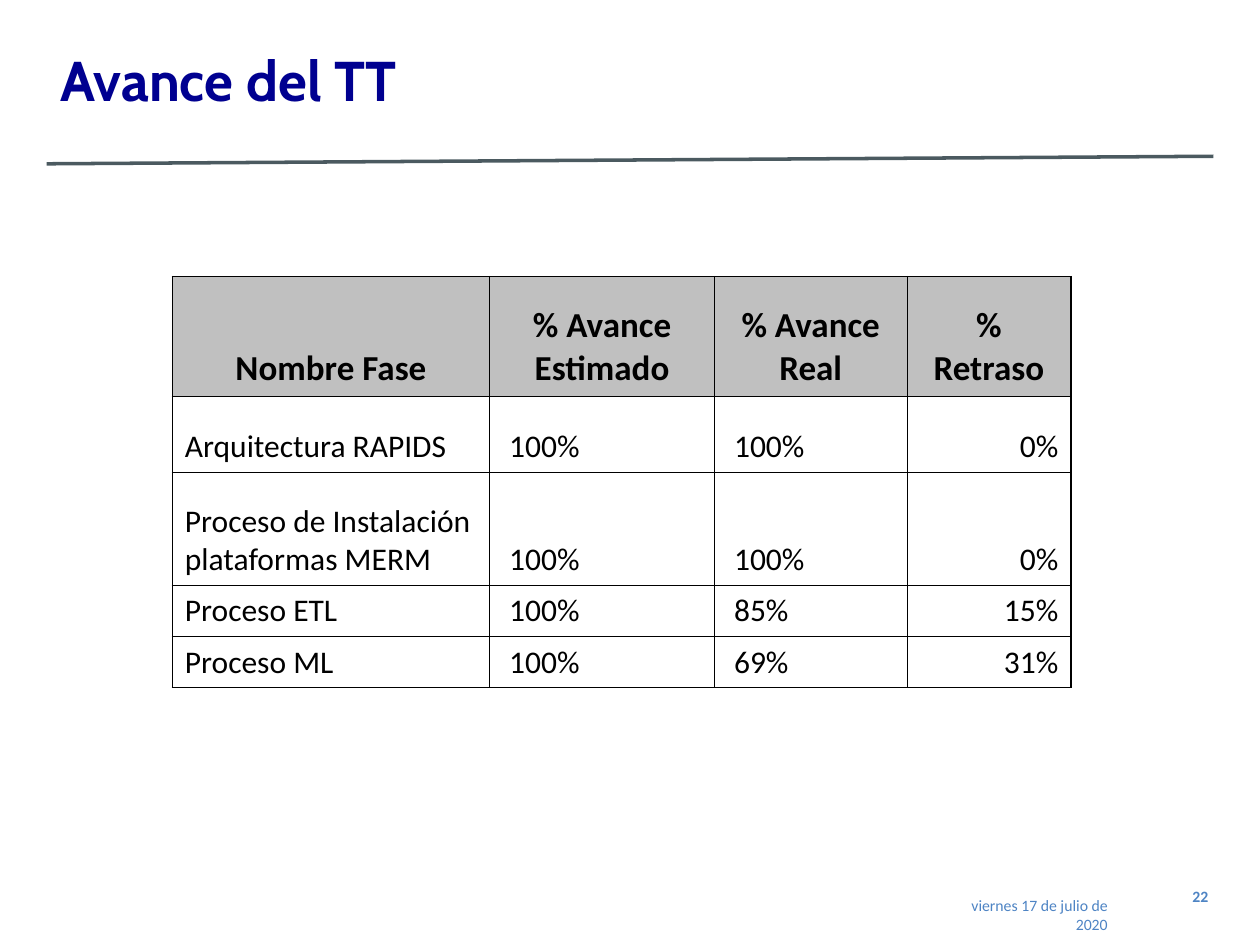
from lxml.etree import SubElement
from pptx import Presentation
from pptx.dml.color import RGBColor
from pptx.enum.shapes import MSO_CONNECTOR
from pptx.enum.text import MSO_ANCHOR, PP_ALIGN
from pptx.oxml.ns import qn
from pptx.util import Pt

COLORS = {"title": "000090", "rule": "4B5A60", "footer": "4E84C4",
          "text": "000000", "header": "C0C0C0", "body": "FFFFFF"}
TITLE = "Avance del TT"
DATE = "viernes 17 de julio de 2020"
PAGE_NUMBER = "22"
PHASES = [
    ("Nombre Fase", "% Avance Estimado", "% Avance Real", "% Retraso"),
    ("Arquitectura RAPIDS", "100%", "100%", "0%"),
    ("Proceso de Instalación plataformas MERM", "100%", "100%", "0%"),
    ("Proceso ETL", "100%", "85%", "15%"),
    ("Proceso ML", "100%", "69%", "31%"),
]
TABLE_LEFT, TABLE_TOP = 98.5, 157.8
COLUMN_WIDTHS = [181.3, 128.5, 110, 93.7]
ROW_HEIGHTS = [68.8, 43.2, 64.8, 29.2, 29.2]
COLUMN_ALIGNMENTS = [PP_ALIGN.LEFT] * 3 + [PP_ALIGN.RIGHT]
COLUMN_MARGINS = [7.2, 11.2, 11.2, 7.2]
THIN, THICK = 0.5, 0.96


def write(frame, text, size=18, color="text", font="Calibri", bold=False,
          align=PP_ALIGN.LEFT):
    frame.word_wrap = True
    paragraph = frame.paragraphs[0]
    paragraph.alignment = align
    span = paragraph.add_run()
    span.text = text
    span.font.name = font
    span.font.size = Pt(size)
    span.font.bold = bold
    span.font.color.rgb = RGBColor.from_string(COLORS[color])


def add_rule(page, start, end):
    rule = page.shapes.add_connector(MSO_CONNECTOR.STRAIGHT, *map(Pt, start + end))
    rule.line.color.rgb = RGBColor.from_string(COLORS["rule"])
    rule.line.width = Pt(2)
    SubElement(rule._element.spPr, qn("a:effectLst"))


def add_footer(page, left, top, width, height, text, bold=False):
    box = page.shapes.add_textbox(*map(Pt, (left, top, width, height)))
    write(box.text_frame, text, size=9, color="footer", bold=bold,
          align=PP_ALIGN.RIGHT)


def set_borders(cell, widths):
    """Draw cell borders; they must come before the fill in the cell XML."""
    properties = cell._tc.get_or_add_tcPr()
    for side, width in widths.items():
        border = SubElement(properties, qn(f"a:ln{side}"), w=str(int(Pt(width))))
        fill = SubElement(border, qn("a:solidFill"))
        SubElement(fill, qn("a:srgbClr"), val=COLORS["text"])


def add_phase_table(page):
    row_count, column_count = len(PHASES), len(COLUMN_WIDTHS)
    table = page.shapes.add_table(
        row_count, column_count, Pt(TABLE_LEFT), Pt(TABLE_TOP),
        Pt(sum(COLUMN_WIDTHS)), Pt(sum(ROW_HEIGHTS))).table
    for column, width in zip(table.columns, COLUMN_WIDTHS):
        column.width = Pt(width)
    for row, height in zip(table.rows, ROW_HEIGHTS):
        row.height = Pt(height)
    for r, phase in enumerate(PHASES):
        header = r == 0
        for c, text in enumerate(phase):
            cell = table.cell(r, c)
            set_borders(cell, {"L": THICK if c == 0 else THIN,
                               "R": THICK if c == column_count - 1 else THIN,
                               "T": THIN, "B": THIN})
            cell.fill.solid()
            cell.fill.fore_color.rgb = RGBColor.from_string(
                COLORS["header" if header else "body"])
            cell.vertical_anchor = MSO_ANCHOR.BOTTOM
            if header:
                write(cell.text_frame, text, size=20, bold=True,
                      align=PP_ALIGN.CENTER)
            else:
                cell.margin_left = Pt(COLUMN_MARGINS[c])
                write(cell.text_frame, text, align=COLUMN_ALIGNMENTS[c])


def main():
    deck = Presentation()
    deck.slide_width, deck.slide_height = Pt(720), Pt(540)
    page = deck.slides.add_slide(deck.slide_layouts[5])

    title = page.shapes.title
    title.left, title.top, title.width, title.height = map(Pt, (27.4, 21.6, 664.6, 46.8))
    title.text_frame.vertical_anchor = MSO_ANCHOR.MIDDLE
    write(title.text_frame, TITLE, size=32, color="title", font="Cabin", bold=True)

    add_rule(page, (26.6, 93.6), (693.4, 89.3))
    add_phase_table(page)
    add_footer(page, 529.2, 508.3, 110.9, 25.2, DATE)
    add_footer(page, 667.4, 503.3, 30.2, 20.9, PAGE_NUMBER, bold=True)
    deck.save("out.pptx")


if __name__ == "__main__":
    main()
